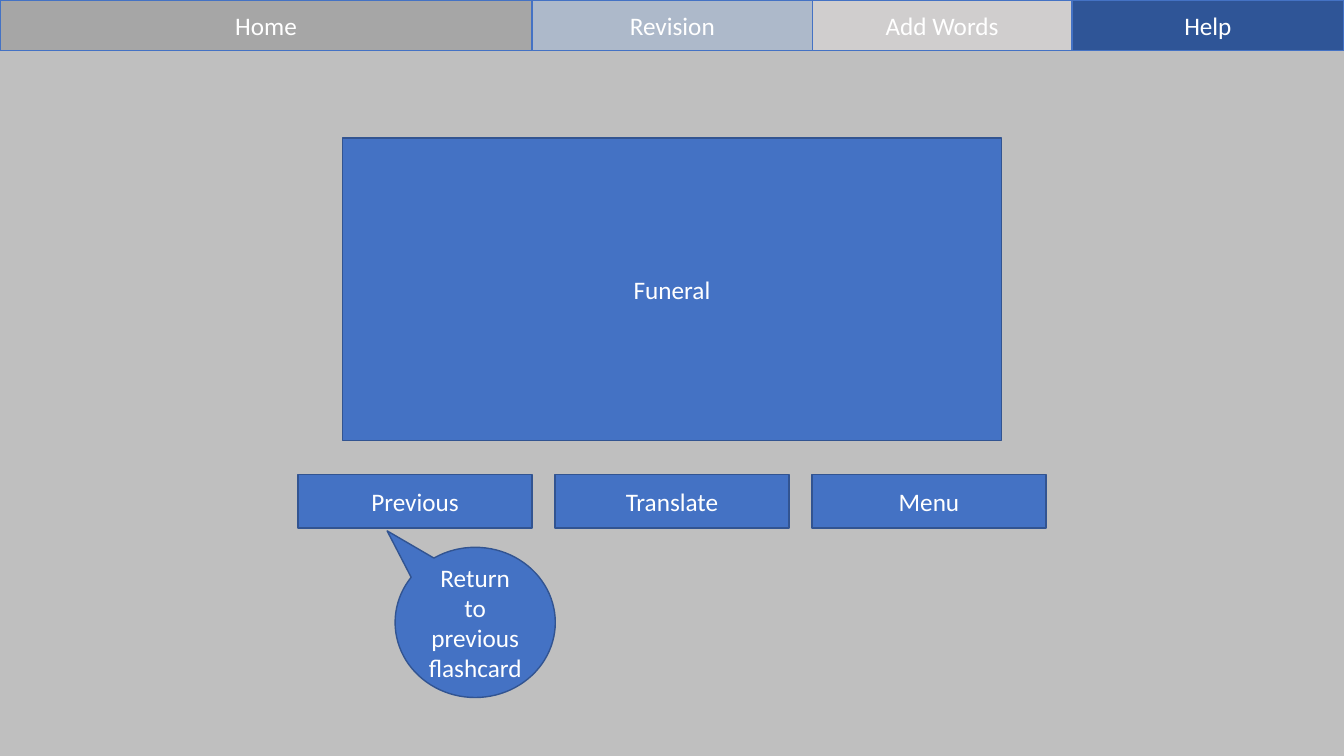
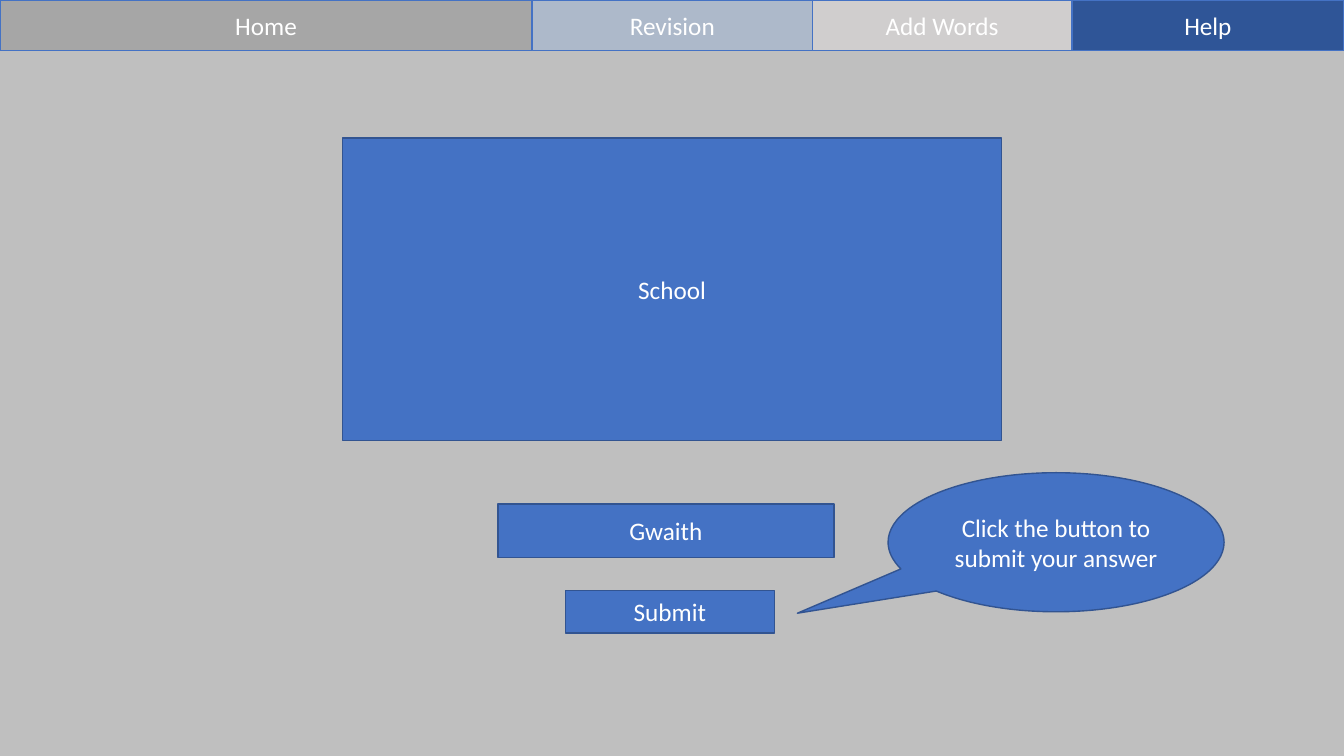
import pptx
import pptx.dml.color
import pptx.enum.shapes
import pptx.enum.text
import pptx.util

SHAPES = pptx.enum.shapes.MSO_SHAPE
GRID = 100  # columns across and rows down each slide


def colour(hex_code):
    return pptx.dml.color.RGBColor.from_string(hex_code)


class Wireframe:
    """Holds the app's style, the deck and the current slide; lengths are columns and rows."""

    FONT = "Calibri"
    SIZE = 18
    TEXT = "FFFFFF"
    BACKGROUND = "BFBFBF"
    BLUE = "4472C4"
    EDGE = "325491"
    BAR_HEIGHT = 6.67
    BUTTON_HEIGHT = 7.07
    TABS = [
        ("Home", 39.6, "A6A6A6"),
        ("Revision", 20.85, "ADB9CA"),
        ("Add Words", 19.3, "D0CECE"),
        ("Help", 20.25, "2F5597"),
    ]

    def __init__(self):
        self.deck = pptx.Presentation()
        self.deck.slide_width = pptx.util.Inches(13.33)
        self.deck.slide_height = pptx.util.Inches(7.5)
        fill = self.deck.slide_master.background.fill
        fill.solid()
        fill.fore_color.rgb = colour(self.BACKGROUND)
        self.page = None

    def block(self, text, left, top, width, height,
              kind=SHAPES.RECTANGLE, fill=BLUE, line=EDGE):
        column = self.deck.slide_width / GRID
        row = self.deck.slide_height / GRID
        box = self.page.shapes.add_shape(
            kind, round(left * column), round(top * row),
            round(width * column), round(height * row))
        box.shadow.inherit = False
        box.fill.solid()
        box.fill.fore_color.rgb = colour(fill)
        box.line.color.rgb = colour(line)
        box.line.width = pptx.util.Pt(1)
        box.text_frame.word_wrap = True
        box.text_frame.vertical_anchor = pptx.enum.text.MSO_ANCHOR.MIDDLE
        para = box.text_frame.paragraphs[0]
        para.text = text
        para.alignment = pptx.enum.text.PP_ALIGN.CENTER
        para.font.name = self.FONT
        para.font.size = pptx.util.Pt(self.SIZE)
        para.font.color.rgb = colour(self.TEXT)
        return box

    def screen(self, word):
        """Start a slide with the navigation bar and a flashcard showing the word."""
        self.page = self.deck.slides.add_slide(self.deck.slide_layouts.get_by_name("Blank"))
        left = 0
        for label, width, fill in self.TABS:
            self.block(label, left, 0, width, self.BAR_HEIGHT, fill=fill, line=self.BLUE)
            left += width
        self.block(word, 25.5, 18.27, 49, 40)

    def button_row(self, labels, top, width=17.4, gap=1.72):
        """Place equal buttons in one row, centred on the slide."""
        pitch = width + gap
        start = (GRID - len(labels) * pitch + gap) / 2
        for index, label in enumerate(labels):
            self.block(label, start + index * pitch, top, width, self.BUTTON_HEIGHT)

    def callout(self, text, left, top, width, height, tip):
        """Add a speech bubble; tip is the pointer's offset from its centre in shares of its size."""
        bubble = self.block(text, left, top, width, height, kind=SHAPES.OVAL_CALLOUT)
        for index, share in enumerate(tip):
            bubble.adjustments[index] = share


def main():
    app = Wireframe()

    app.screen("Funeral")
    app.button_row(["Previous", "Translate", "Menu"], top=62.8)
    app.callout("Return to previous flashcard", 29.4, 72.4, 11.92, 19.87, tip=(-0.55, -0.61))

    app.screen("School")
    app.block("Gwaith", 37.05, 66.67, 25, app.BUTTON_HEIGHT)
    app.block("Submit", 42.08, 78.13, 15.53, 5.6)
    app.callout("Click the button to submit your answer", 66.08, 62.53, 25, 18.4, tip=(-0.77, 0.51))

    app.deck.save("out.pptx")


if __name__ == "__main__":
    main()
